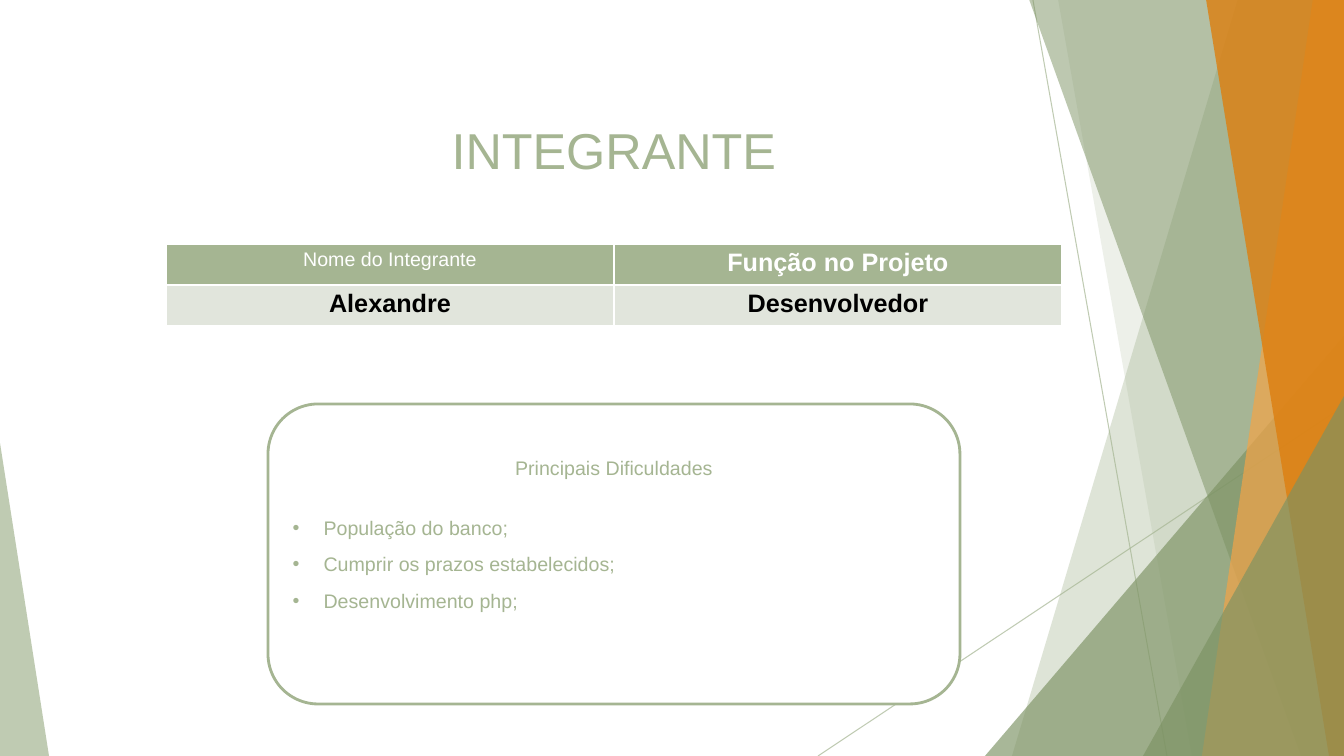
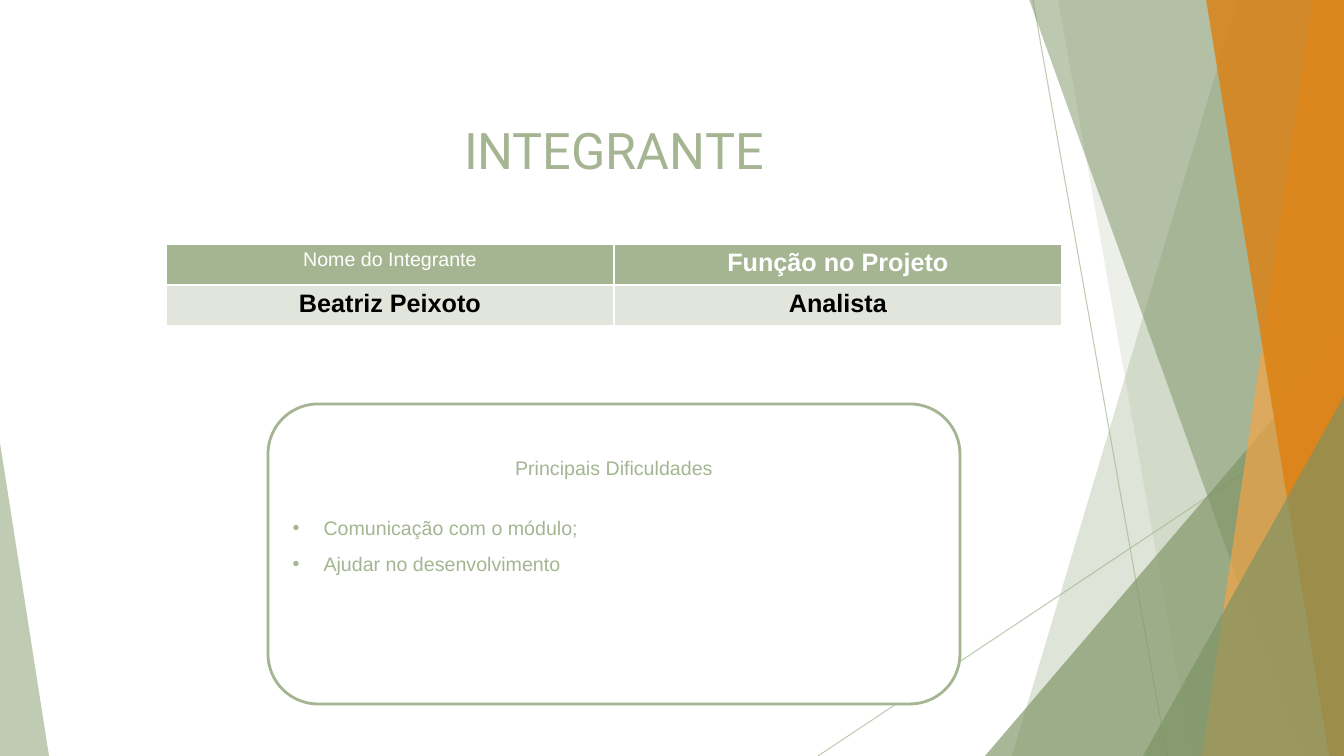
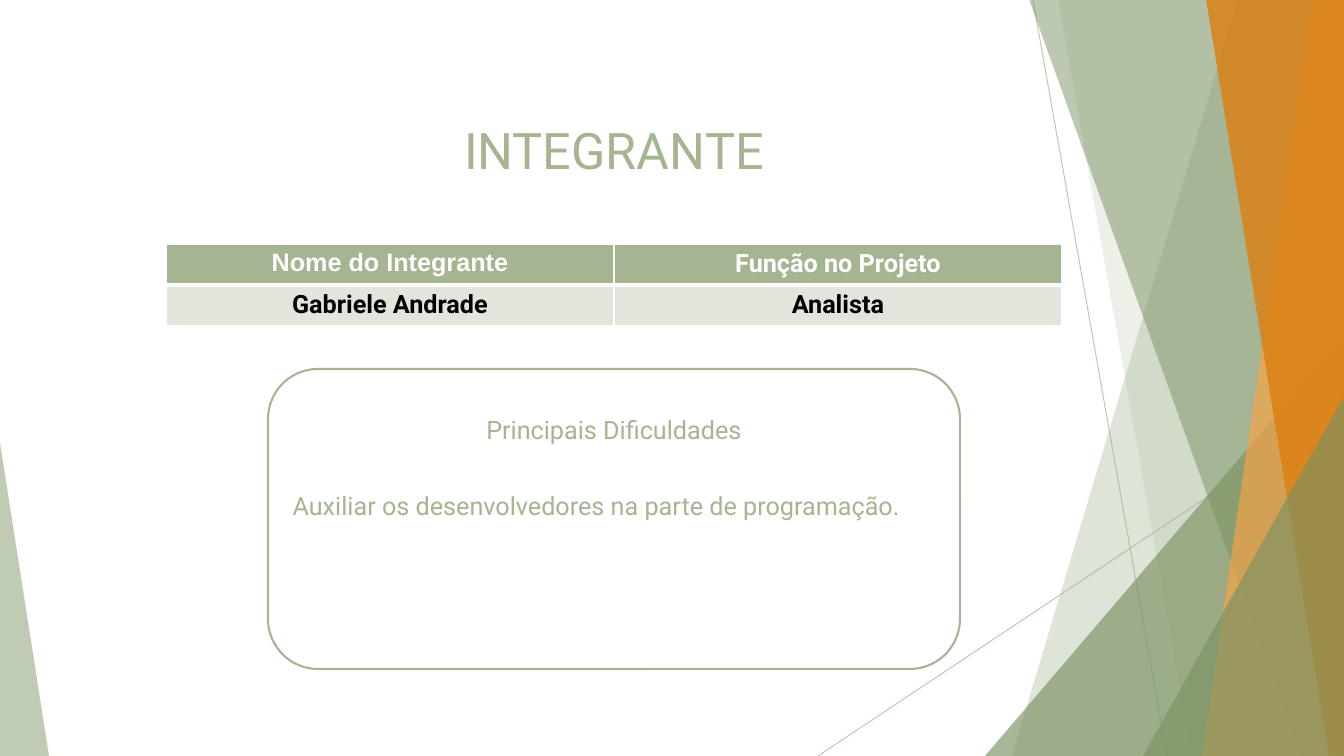
"""Three team member slides with a role table and a card of difficulties."""
from lxml.etree import SubElement
from pptx import Presentation
from pptx.dml.color import RGBColor
from pptx.enum.shapes import MSO_CONNECTOR, MSO_SHAPE
from pptx.enum.text import MSO_ANCHOR, PP_ALIGN
from pptx.oxml.ns import qn
from pptx.util import Emu, Pt

WIDTH, HEIGHT = 1344, 756
EMU_PER_PX = 914400 / 100.8
COLORS = {
    "sage": "A5B592", "moss": "7C9263", "amber": "F3A447", "orange": "DD7E0E",
    "pale": "E1E5DC", "white": "FFFFFF", "black": "000000",
}

LINES = [(1033, 0, 1167, HEIGHT), (WIDTH, 406, 818, HEIGHT)]
BANDS = [
    ("slant", (1238, 1012), "sage", 36),
    ("slant", (1058, 1192), "sage", 20),
    ("triangle", (985, 336, 359, 420, 1), "moss", 66),
    ("slant", (1029, 1301), "moss", 50),
    ("slant", (1313, 1202), "amber", 70),
    ("slant", (1206, 1329), "orange", 80),
    ("triangle", (1143, 396, 201, 360, 1), "moss", 66),
    ("triangle", (0, 443, 49, 313, 0), "sage", 70),
]

TITLE = "INTEGRANTE"
HEADERS = ("Nome do Integrante", "Função no Projeto")
CARD_HEADING = "Principais Dificuldades"
TITLE_BOX = (78, 114, 1072, 71)
TABLE_BOX = (166, 244, 896, 82)
CARD_LEFT, CARD_WIDTH, CARD_HEIGHT = 268, 692, 300
HANGING = 31

ARIAL_CARD = {"top": 404, "inset": 37, "gap": 18, "size": 14, "line": 2,
              "font": "Arial", "bullets": True}
ROBOTO_CARD = {"top": 369, "inset": 31, "gap": 22, "size": 18, "line": 1.5,
               "font": "Roboto", "bullets": False}
MEMBERS = [
    {"name": "Alexandre", "role": "Desenvolvedor", "title_font": "Arial",
     "name_header": (14, False), "table_font": "Arial", "rule": 1, "card": ARIAL_CARD,
     "difficulties": ["População do banco;", "Cumprir os prazos estabelecidos;",
                      "Desenvolvimento php;"]},
    {"name": "Beatriz Peixoto", "role": "Analista", "title_font": "Roboto",
     "name_header": (14, False), "table_font": "Arial", "rule": 1, "card": ARIAL_CARD,
     "difficulties": ["Comunicação com o módulo;", "Ajudar no desenvolvimento"]},
    {"name": "Gabriele Andrade", "role": "Analista", "title_font": "Roboto",
     "name_header": (18, True), "table_font": "Roboto", "rule": 3, "card": ROBOTO_CARD,
     "difficulties": ["Auxiliar os desenvolvedores na parte de programação."]},
]


def px(*lengths):
    return [Emu(round(length * EMU_PER_PX)) for length in lengths]


def rgb(color):
    return RGBColor.from_string(COLORS[color])


def set_alpha(color_format_parent, percent):
    for color in color_format_parent.iter(qn("a:srgbClr")):
        SubElement(color, qn("a:alpha"), val=str(percent * 1000))


def write(para, text, font, size, color, bold=False, align=PP_ALIGN.CENTER):
    para.text = text
    para.alignment = align
    for span in para.runs:
        span.font.name = font
        span.font.size = Pt(size)
        span.font.bold = bold
        span.font.color.rgb = rgb(color)


def add_background(page):
    for line in LINES:
        connector = page.shapes.add_connector(MSO_CONNECTOR.STRAIGHT, *px(*line))
        connector.line.color.rgb = rgb("sage")
        connector.line.width = Pt(0.75)
        properties = connector.element.spPr
        set_alpha(properties, 70)
        SubElement(properties, qn("a:effectLst"))
    for kind, place, color, alpha in BANDS:
        if kind == "slant":
            top, bottom = place
            builder = page.shapes.build_freeform(top, -1, EMU_PER_PX)
            builder.add_line_segments([(WIDTH, -1), (WIDTH, HEIGHT), (bottom, HEIGHT)])
            band = builder.convert_to_shape()
        else:
            *box, apex = place
            band = page.shapes.add_shape(MSO_SHAPE.ISOSCELES_TRIANGLE, *px(*box))
            band.adjustments[0] = apex
        band.shadow.inherit = False
        band.fill.solid()
        band.fill.fore_color.rgb = rgb(color)
        band.line.fill.background()
        set_alpha(band.element.spPr, alpha)


def add_title(page, font):
    frame = page.shapes.add_textbox(*px(*TITLE_BOX)).text_frame
    frame.word_wrap = True
    frame.vertical_anchor = MSO_ANCHOR.MIDDLE
    write(frame.paragraphs[0], TITLE, font, 36, "sage")


def set_borders(cell, widths):
    properties = cell._tc.get_or_add_tcPr()
    for index, (side, width) in enumerate(widths.items()):
        border = properties.makeelement(qn(f"a:ln{side}"), {"w": str(Pt(width))})
        fill = SubElement(border, qn("a:solidFill"))
        SubElement(fill, qn("a:srgbClr"), val=COLORS["white"])
        properties.insert(index, border)


def add_table(page, member):
    table = page.shapes.add_table(2, 2, *px(*TABLE_BOX)).table
    font, rule = member["table_font"], member["rule"]
    rows = [
        ("sage", "white", {"L": 1, "R": 1, "T": 1, "B": rule},
         [(HEADERS[0], "Arial", *member["name_header"]), (HEADERS[1], font, 18, True)]),
        ("pale", "black", {"L": 1, "R": 1, "T": rule, "B": 1},
         [(member["name"], font, 18, True), (member["role"], font, 18, True)]),
    ]
    for row, (fill, color, borders, texts) in enumerate(rows):
        for column, (text, face, size, bold) in enumerate(texts):
            cell = table.cell(row, column)
            cell.fill.solid()
            cell.fill.fore_color.rgb = rgb(fill)
            write(cell.text_frame.paragraphs[0], text, face, size, color, bold)
            set_borders(cell, borders)


def add_card(page, card, difficulties):
    box = page.shapes.add_shape(
        MSO_SHAPE.ROUNDED_RECTANGLE, *px(CARD_LEFT, card["top"], CARD_WIDTH, CARD_HEIGHT))
    box.shadow.inherit = False
    box.fill.solid()
    box.fill.fore_color.rgb = rgb("white")
    box.line.color.rgb = rgb("sage")
    box.line.width = Pt(card["line"])
    frame = box.text_frame
    frame.word_wrap = True
    frame.vertical_anchor = MSO_ANCHOR.TOP
    frame.margin_top = px(card["inset"])[0]
    write(frame.paragraphs[0], CARD_HEADING, card["font"], card["size"], "sage")
    align = PP_ALIGN.LEFT if card["bullets"] else PP_ALIGN.JUSTIFY
    indent = px(HANGING)[0]
    for index, text in enumerate(difficulties):
        para = frame.add_paragraph()
        properties = para._p.get_or_add_pPr()
        properties.set("marL", str(indent))
        properties.set("indent", str(-indent))
        if card["bullets"]:
            SubElement(properties, qn("a:buFont"), typeface="Arial")
            SubElement(properties, qn("a:buChar"), char="•")
        write(para, text, card["font"], card["size"], "sage", align=align)
        para.line_spacing = 1.5
        para.space_before = Pt(0.75 if index else card["gap"])


def main():
    deck = Presentation()
    deck.slide_width, deck.slide_height = px(WIDTH, HEIGHT)
    for member in MEMBERS:
        page = deck.slides.add_slide(deck.slide_layouts[6])
        add_background(page)
        add_title(page, member["title_font"])
        add_table(page, member)
        add_card(page, member["card"], member["difficulties"])
    deck.save("out.pptx")


if __name__ == "__main__":
    main()
